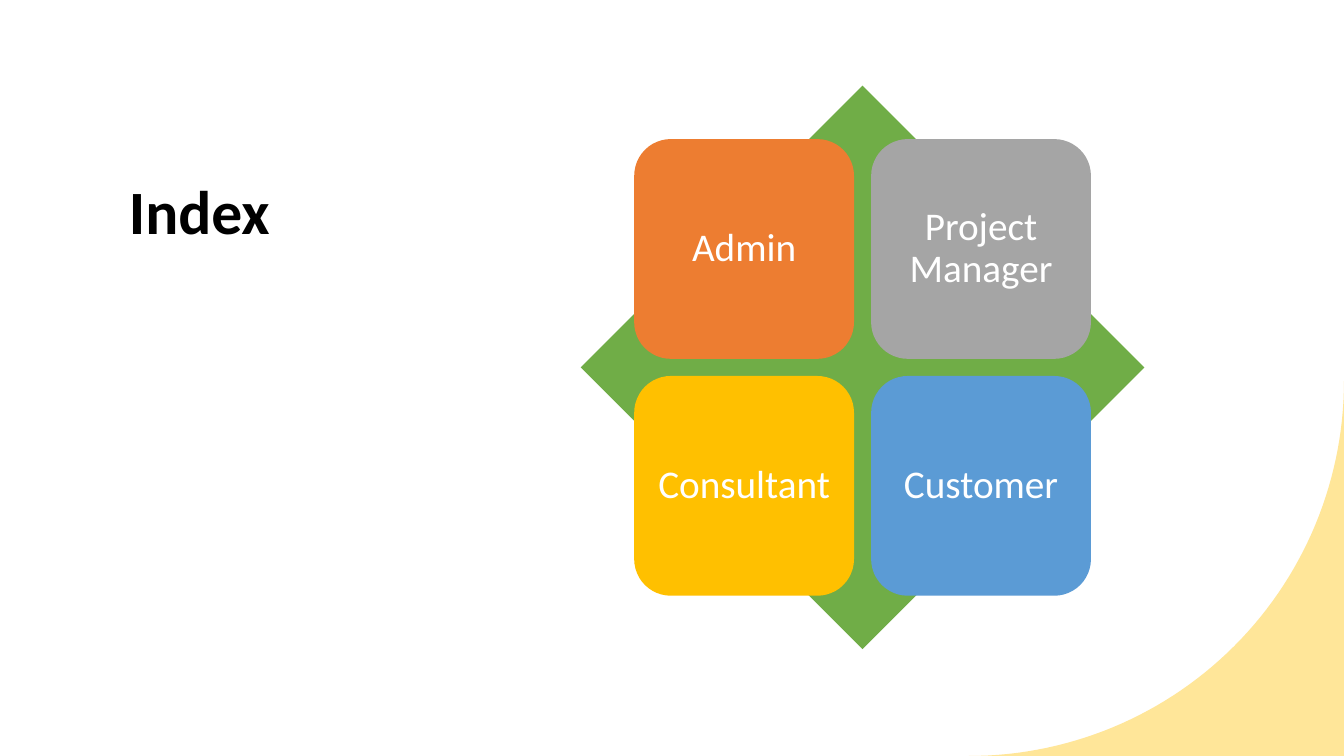
from dataclasses import dataclass
from math import cos, pi, sin

from pptx import Presentation
from pptx.dml.color import RGBColor
from pptx.enum.shapes import MSO_SHAPE
from pptx.enum.text import MSO_ANCHOR, PP_ALIGN
from pptx.util import Emu, Pt

EMU_PER_PX = 9144  # 100 px to the inch
SLIDE_WIDTH, SLIDE_HEIGHT = 1333, 750


@dataclass(frozen=True)
class Theme:
    font: str = "Calibri"
    title_size: int = 44
    role_size: int = 28
    title: str = "000000"
    role_text: str = "FFFFFF"
    diamond: str = "70AD47"
    corner: str = "FFE699"
    roles: tuple = ("ED7D31", "A5A5A5", "FFC000", "5B9BD5")


THEME = Theme()


def px(length):
    return Emu(length * EMU_PER_PX)


def paint(shape, color):
    shape.shadow.inherit = False
    shape.fill.solid()
    shape.fill.fore_color.rgb = RGBColor.from_string(color)
    shape.line.fill.background()


def add_block(slide, kind, left, top, size, color):
    shape = slide.shapes.add_shape(kind, px(left), px(top), px(size), px(size))
    paint(shape, color)
    return shape


def write(shape, text, size, color, bold=False):
    frame = shape.text_frame
    frame.word_wrap = True
    paragraph = frame.paragraphs[0]
    paragraph.text = text
    paragraph.line_spacing = 0.9
    font = paragraph.font
    font.name, font.size, font.bold = THEME.font, Pt(size), bold
    font.color.rgb = RGBColor.from_string(color)
    return frame, paragraph


def add_title(slide, text):
    box = slide.shapes.add_textbox(px(118), px(175), px(328), px(389))
    write(box, text, THEME.title_size, THEME.title, bold=True)


def add_corner(slide, radius=372, steps=60):
    """Fill what lies outside a quarter circle in the bottom right corner."""
    center_x, center_y = SLIDE_WIDTH - radius, SLIDE_HEIGHT - radius
    angles = [pi / 2 * step / steps for step in range(steps + 1)]
    arc = [(px(round(center_x + radius * cos(angle), 2)),
            px(round(center_y + radius * sin(angle), 2))) for angle in angles]
    builder = slide.shapes.build_freeform(px(SLIDE_WIDTH), px(SLIDE_HEIGHT))
    builder.add_line_segments(arc, close=True)
    paint(builder.convert_to_shape(), THEME.corner)


def add_role(slide, text, left, top, size, color):
    tile = add_block(slide, MSO_SHAPE.ROUNDED_RECTANGLE, left, top, size, color)
    frame, paragraph = write(tile, text, THEME.role_size, THEME.role_text)
    frame.margin_left = frame.margin_right = px(12)
    frame.margin_top = frame.margin_bottom = px(12)
    frame.vertical_anchor = MSO_ANCHOR.MIDDLE
    paragraph.alignment = PP_ALIGN.CENTER


def add_role_matrix(slide, roles):
    add_block(slide, MSO_SHAPE.DIAMOND, 576, 85, 559, THEME.diamond)
    left, top, size, pitch = 629, 138, 218, 235
    for index, (role, color) in enumerate(zip(roles, THEME.roles)):
        row, column = divmod(index, 2)
        add_role(slide, role, left + column * pitch, top + row * pitch, size, color)


def main():
    presentation = Presentation()
    presentation.slide_width = px(SLIDE_WIDTH)
    presentation.slide_height = px(SLIDE_HEIGHT)
    slide = presentation.slides.add_slide(presentation.slide_layouts[6])

    # Title and corner decoration
    add_title(slide, "Index")
    add_corner(slide)

    # Roles on the diamond
    add_role_matrix(slide, ("Admin", "Project Manager", "Consultant", "Customer"))

    presentation.save("out.pptx")


if __name__ == "__main__":
    main()
